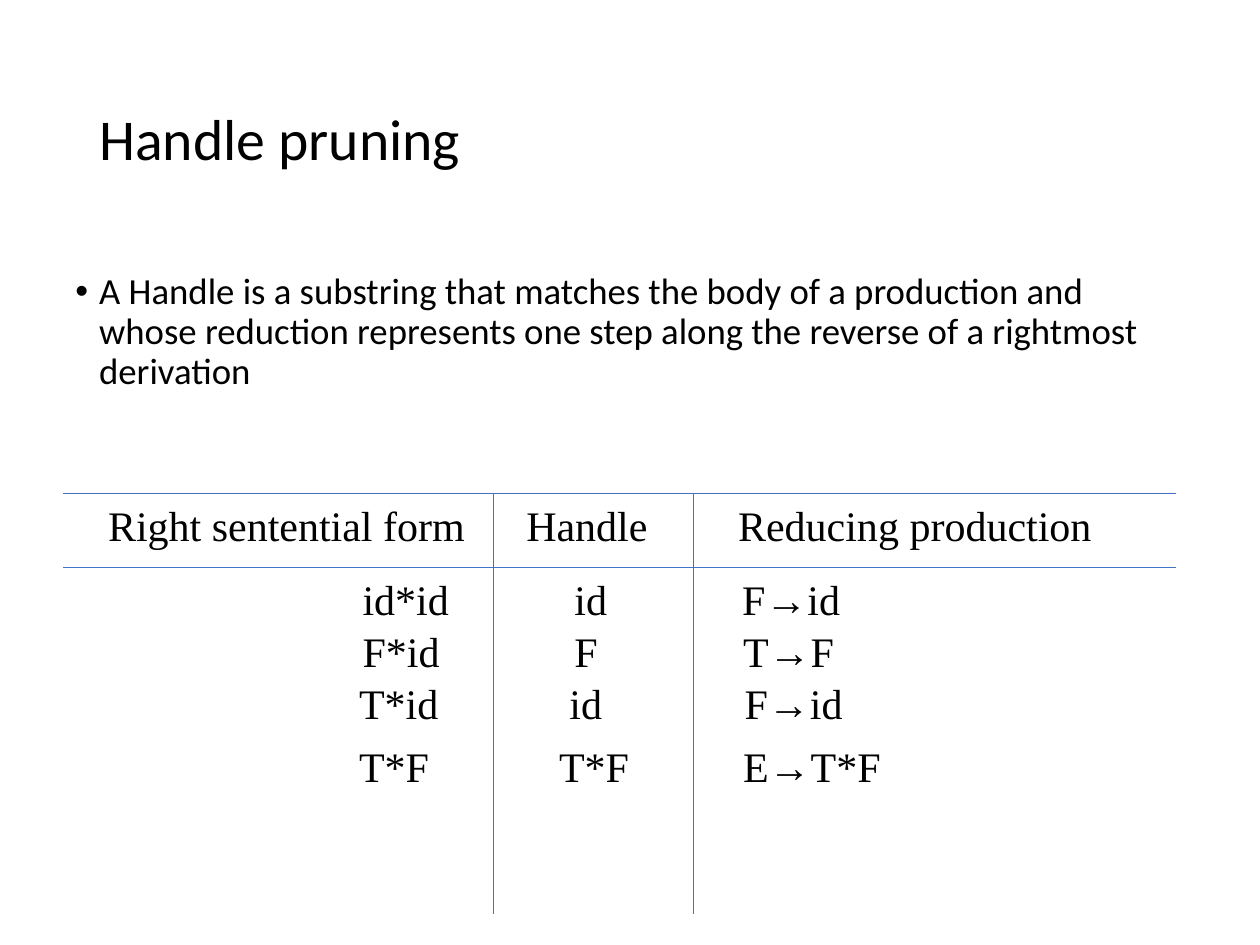
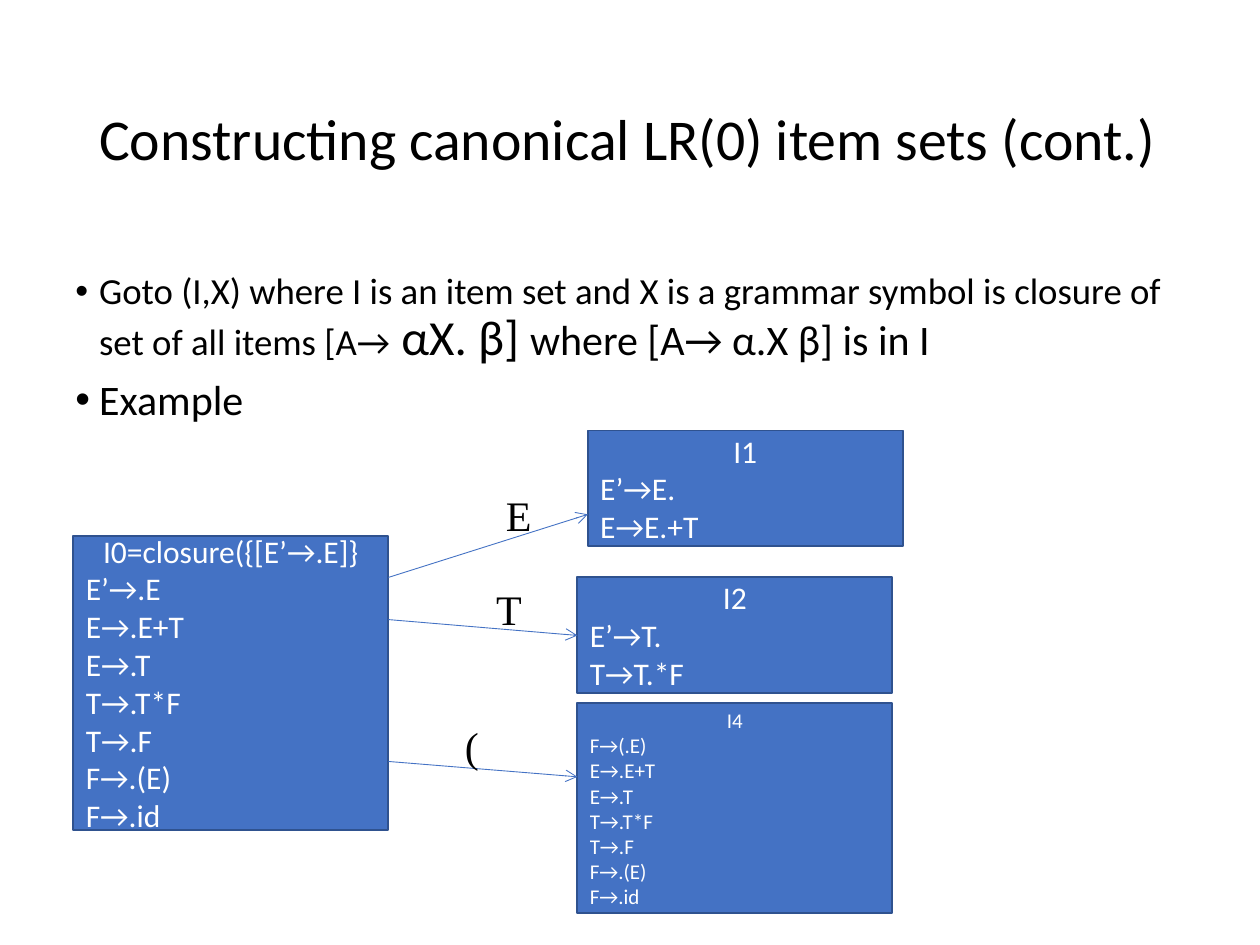
from dataclasses import dataclass

from lxml.etree import SubElement
from pptx import Presentation
from pptx.dml.color import RGBColor as Rgb
from pptx.enum.shapes import MSO_CONNECTOR as Conn, MSO_SHAPE as Kind
from pptx.enum.text import MSO_ANCHOR as Anchor, PP_ALIGN as Align
from pptx.oxml.ns import qn
from pptx.util import Cm, Pt


# Colours, fonts and type sizes
@dataclass(frozen=True)
class Theme:
    ink: str = "000000"
    light: str = "FFFFFF"
    blue: str = "4472C4"
    edge: str = "2F528F"
    sans: str = "Calibri"
    serif: str = "Times New Roman"
    title: int = 33
    body: int = 21
    term: int = 24
    big: int = 28
    item: int = 18
    small: int = 12


def put(obj, vals):
    for name, val in vals.items():
        setattr(obj, name, val)


class Deck:
    def __init__(self, theme):
        self.theme = theme
        self.prs = Presentation()
        put(self.prs, {"slide_width": Cm(25.4), "slide_height": Cm(19.05)})

    def start(self, title):
        self.slide = self.prs.slides.add_slide(self.prs.slide_layouts[6])
        frame = self.frame(1.75, 1.02, 21.92, 3.68)
        frame.vertical_anchor = Anchor.MIDDLE
        para = frame.paragraphs[0]
        para.line_spacing = 0.9
        self.run(para, title, self.theme.title)

    def frame(self, x, y, w, h):
        box = self.slide.shapes.add_textbox(Cm(x), Cm(y), Cm(w), Cm(h))
        box.text_frame.word_wrap = True
        return box.text_frame

    def run(self, para, text, size, face=None, hue=None):
        run = para.add_run()
        run.text = text
        put(run.font, {"size": Pt(size), "name": face or self.theme.sans})
        run.font.color.rgb = Rgb.from_string(hue or self.theme.ink)

    def paras(self, frame, count):
        return [frame.paragraphs[0]] + [frame.add_paragraph() for _ in range(count - 1)]

    def body(self, height, points):
        """Bulleted text; each point is a list of (text, size) runs."""
        frame = self.frame(1.27, 5.38, 22.86, height)
        for i, (para, runs) in enumerate(zip(self.paras(frame, len(points)), points)):
            props = para._p.get_or_add_pPr()
            for name, val in {"marL": Cm(0.48), "indent": -Cm(0.48)}.items():
                props.set(name, str(val))
            SubElement(props, qn("a:buFont")).set("typeface", "Arial")
            SubElement(props, qn("a:buChar")).set("char", "•")
            put(para, {"line_spacing": 0.9, "space_before": Pt(7.5 if i else 0)})
            for text, size in runs:
                self.run(para, text, size)

    def term(self, text, x, y, w):
        frame = self.frame(x, y, w, 1.27)
        self.run(frame.paragraphs[0], text, self.theme.term, self.theme.serif)

    def line(self, x1, y1, x2, y2, arrow=False):
        line = self.slide.shapes.add_connector(
            Conn.STRAIGHT, Cm(x1), Cm(y1), Cm(x2), Cm(y2))
        line.line.width = Pt(0.5)
        line.line.color.rgb = Rgb.from_string(self.theme.blue)
        props = line._element.spPr
        if arrow:
            SubElement(props.find(qn("a:ln")), qn("a:tailEnd")).set("type", "arrow")
        SubElement(props, qn("a:effectLst"))

    def state(self, x, y, h, size, name, items):
        """Item set: centred name above its items."""
        box = self.slide.shapes.add_shape(Kind.RECTANGLE, Cm(x), Cm(y), Cm(6.35), Cm(h))
        box.shadow.inherit = False
        box.fill.solid()
        box.fill.fore_color.rgb = Rgb.from_string(self.theme.blue)
        box.line.width = Pt(1)
        box.line.color.rgb = Rgb.from_string(self.theme.edge)
        frame = box.text_frame
        put(frame, {"word_wrap": True, "vertical_anchor": Anchor.MIDDLE})
        rows = [name, *items]
        for i, (para, text) in enumerate(zip(self.paras(frame, len(rows)), rows)):
            para.alignment = Align.LEFT if i else Align.CENTER
            self.run(para, text, size, hue=self.theme.light)


def prune(deck):
    look = deck.theme
    deck.start("Handle pruning")
    deck.body(4.37, [[(
        "A Handle is a substring that matches the body of a production and whose "
        "reduction represents one step along the reverse of a rightmost derivation",
        look.body)]])

    # Rules of the grid
    top, head, foot = 9.95, 11.43, 18.42
    for y in (top, head):
        deck.line(1.27, y, 23.7, y)
    for x in (9.95, 13.97):
        deck.line(x, top, x, foot)

    # Rows of the grid: text, left, width
    rows = {
        top: [("Right sentential form", 1.93, 7.9), ("Handle", 10.36, 3.2),
              ("Reducing production", 14.63, 8)],
        head: [("id*id", 7.06, 2.5), ("id", 11.33, 1.4), ("F→id", 14.71, 2.8)],
        12.48: [("F*id", 7.06, 2.3), ("F", 11.33, 1.2), ("T→F", 14.73, 2.6)],
        13.54: [("T*id", 6.99, 2.4), ("id", 11.23, 1.4), ("F→id", 14.76, 2.8)],
        14.81: [("T*F", 6.99, 2.2), ("T*F", 11.02, 2.2), ("E→T*F", 14.73, 3.6)],
    }
    for y, cells in rows.items():
        for text, x, w in cells:
            deck.term(text, x, y, w)


def goto(deck):
    look = deck.theme
    deck.start("Constructing canonical LR(0) item sets (cont.)")
    deck.body(4.78, [
        [("Goto (I,X) where I is an item set and X is a grammar symbol is closure of "
          "set of all items [A→", look.body),
         (" αX. β] ", look.big), ("where [A→ α.X β] is in I", look.term)],
        [("Example", look.term)],
    ])

    # Item sets
    rules = ["E→.E+T", "E→.T", "T→.T*F", "T→.F", "F→.(E)", "F→.id"]
    left, mid = 1.48, 11.64
    deck.state(left, 10.8, 5.93, look.item, "I0=closure({[E’→.E]}", ["E’→.E", *rules])
    deck.state(11.85, 8.68, 2.33, look.item, "I1", ["E’→E.", "E→E.+T"])
    deck.state(mid, 11.64, 2.33, look.item, "I2", ["E’→T.", "T→T.*F"])
    deck.state(mid, 14.18, 4.23, look.small, "I4", ["F→(.E)", *rules])

    # Moves: start and end of the arrow, then symbol with its place
    moves = [
        (11.64, 11.85, 10.37, "E", 9.95, 9.74, 1.2),
        (12.49, mid, 12.81, "T", 9.75, 11.64, 1.2),
        (15.35, mid, 15.66, "(", 9.12, 14.4, 1),
    ]
    for y, to_x, to_y, sign, *place in moves:
        deck.line(left + 6.35, y, to_x, to_y, arrow=True)
        deck.term(sign, *place)


def main():
    deck = Deck(Theme())
    prune(deck)
    goto(deck)
    deck.prs.save("out.pptx")


if __name__ == "__main__":
    main()
